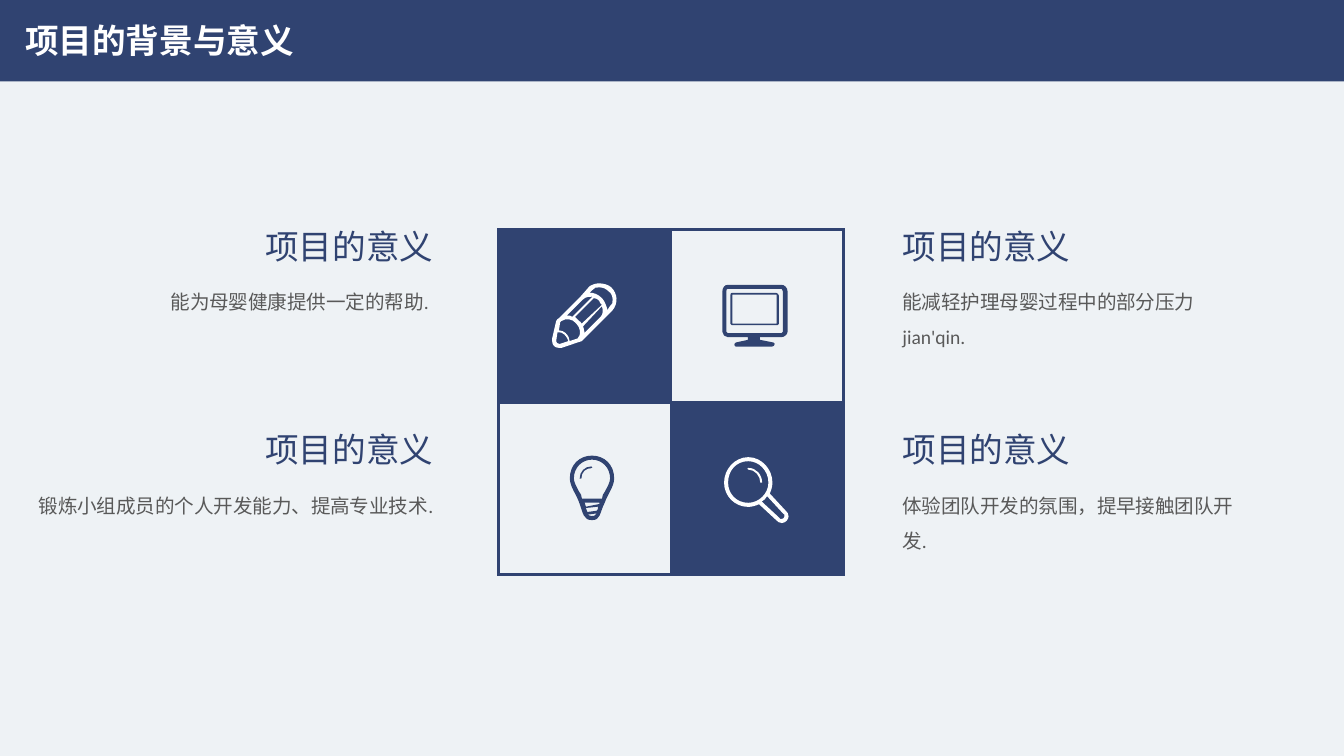
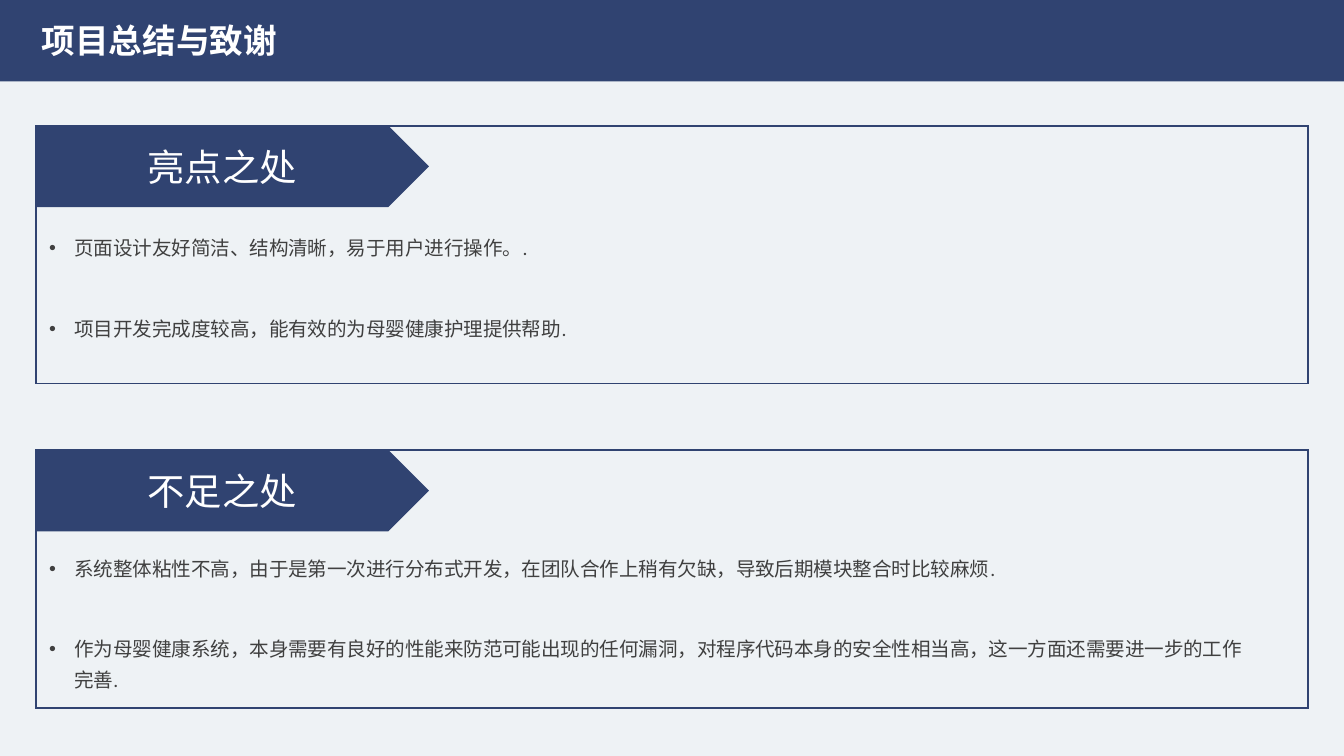
from dataclasses import dataclass
from typing import Optional

from lxml.etree import Element, SubElement
from pptx import Presentation
from pptx.dml.color import RGBColor
from pptx.enum.shapes import MSO_SHAPE as Preset
from pptx.enum.text import MSO_ANCHOR as Anchor, MSO_AUTO_SIZE as AutoSize, PP_ALIGN as Align
from pptx.oxml.ns import qn
from pptx.shapes.autoshape import Shape
from pptx.slide import Slide
from pptx.text.text import TextFrame
from pptx.util import Pt

NAVY = RGBColor(0x30, 0x43, 0x71)
PALE = RGBColor(0xEE, 0xF2, 0xF5)
WHITE = RGBColor(0xFF, 0xFF, 0xFF)
GREY = RGBColor(0x59, 0x59, 0x59)
CHARCOAL = RGBColor(0x40, 0x40, 0x40)

CJK_FONT = "Noto Sans CJK SC"
LATIN_FONT = "Calibri"
SLIDE_WIDTH, SLIDE_HEIGHT = 720, 405
BAND_HEIGHT = 43.6

ICON_UNIT = 0.72
BULLET_INDENT = 13.6


@dataclass(frozen=True)
class Box:
    left: float
    top: float
    width: float
    height: float

    def lengths(self) -> tuple[Pt, Pt, Pt, Pt]:
        return Pt(self.left), Pt(self.top), Pt(self.width), Pt(self.height)


@dataclass(frozen=True)
class TextStyle:
    size: float
    color: RGBColor
    font: str = CJK_FONT
    bold: bool = False
    line_spacing: Optional[float] = None
    space_before: float = 0
    bullet: bool = False


TITLE = TextStyle(18, WHITE, bold=True)
HEADING = TextStyle(18, NAVY)
BODY = TextStyle(10.5, GREY, LATIN_FONT, line_spacing=1.5)
PLATE = TextStyle(20, WHITE)
POINT = TextStyle(10.5, CHARCOAL, LATIN_FONT, line_spacing=1.3, space_before=6, bullet=True)


@dataclass(frozen=True)
class Icon:
    """Outlines use M, L and C commands on a grid of ICON_UNIT; every contour closes."""
    left: float
    top: float
    outlines: tuple[str, ...]


@dataclass(frozen=True)
class Quadrant:
    column: int
    row: int
    body: str
    icon: Icon

    @property
    def filled(self) -> bool:
        return self.column == self.row


@dataclass(frozen=True)
class Panel:
    top: float
    title: str
    first_point: float
    points: tuple[str, ...]


PENCIL = Icon(295.8, 151.8, (
    "M 43 17 L 41 20 C 41 20 41 19 41 19 C 40 16 39 13 37 11 C 34 8 31 7 28 7 "
    "L 30 5 C 31 3 33 3 35 3 C 38 3 40 4 42 6 C 44 7 45 10 45 12 C 45 14 45 16 43 17 "
    "M 13 43 C 13 41 12 39 10 37 C 9 36 7 35 5 35 L 6 29 C 6 29 7 28 7 28 "
    "C 10 26 15 26 18 30 C 21 33 22 38 19 41 "
    "M 6 45 C 6 45 5 45 5 45 C 4 45 3 44 3 43 L 4 36.4 C 6 36 8 37 9 38 C 11 40 12 42 12 43 "
    "M 15 25 C 14 24 13 24 11 24 L 23 12 C 25 10 27 10 30 10 "
    "M 22 30 C 21 29 21 28 20 28 C 19 27 18 26 17 25 L 31 11 C 33 11 34 12 35 13 "
    "C 35 14 36 15 37 16 "
    "M 24 36 C 24 34 23 33 23 32 L 37 17 C 38 20 38 23 36 25 L 24 37 "
    "M 44 3 C 42 1 38 0 35 0 C 32 0 30 1 28 2 L 21 10 L 5 26 C 4 26 4 27 3 28 L 0 41 "
    "C 0 41 0 42 0 43 C 0 46 2 48 5 48 C 5 48 7 48 7 48 L 19 44 C 20 44 21 44 22 43 "
    "L 45 20 C 49 15 49 8 44 3",
))
MONITOR = Icon(387, 152.6, (
    "M 40.4 28.8 L 7.4 28.8 L 7.4 7.4 L 40.4 7.4 "
    "M 40 6 L 7 6 C 6 6 6 7 6 8 L 6 29 C 6 30 6 30 7 30 L 40 30 "
    "C 41 30 42 30 42 29 L 42 8 C 42 7 41 6 40 6",
    "M 45 35 C 45 36 44 36 44 36 L 4 36 C 3 36 3 36 3 35 L 3 5 C 3 4 3 3 4 3 "
    "L 44 3 C 44 3 45 4 45 5 "
    "M 44 0 L 4 0 C 2 0 0 2 0 5 L 0 35 C 0 37 2 39 4 39 L 19 39 L 19 41 L 10 43 "
    "C 9 43 9 43 9 44 C 9 45 9 46 10 46 L 37 46 C 38 46 39 45 39 44 "
    "C 39 43 39 43 38 43 L 28 41 L 28 39 L 44 39 C 46 39 48.5 37 48.5 35 "
    "L 48.5 5 C 48.5 2 46 0 44 0",
))
BULB = Icon(305.3, 244.1, (
    "M 24 32 L 9 32 C 9 30 8 28 7 27 C 5 23 3 20 3 17 C 3 9 9 3 16.5 3 "
    "C 24 3 30 9 30 17 C 30 20 28 23 26 27 C 25 28 24 30 24 32 "
    "M 16 45 C 15 45 14 45 13 44 L 20 43 C 19 45 18 45 16 45 "
    "M 12 38 C 11 37 11 36 11 35 L 22 35 C 22 35 22 36 22 36 "
    "M 20 41 L 13 42 C 13 41 12 40 12 39 L 21 38 C 21 39 21 41 20 41 "
    "M 16.5 0 C 7 0 0 7 0 17 C 0 23 5 29 7 35 C 10 43 10 48 16.5 48 "
    "C 23 48 22 43 26 35 C 28 29 33 23 33 17 C 33 7 26 0 16.5 0",
    "M 16 8 C 11 8 7.3 12 7.3 17 L 8.6 17 C 8.6 12 12 9.3 16 9.3 C 17 9.3 17 8 16 8",
))
MAGNIFIER = Icon(387.9, 244.9, (
    "M 18 34 C 26 34 33 27 33 19 C 33 10 26 3 18 3 C 9 3 3 10 3 19 C 3 27 9 34 18 34 "
    "M 41 45 C 41 46 42 46 43 46 C 44 46 45 45 45 44 C 45 43 45 42 44 42 L 32 29 "
    "C 31 31 30 32 28 33 "
    "M 18 0 C 28 0 36 9 36 19 C 36 22 35 25 34 27 L 46 40 C 47 41 48 42 48 44 "
    "C 48 46 46 49 43 49 C 41 49 40 48 39 47 L 26 35 C 24 36 21 37 18 37 "
    "C 8 37 0 29 0 19 C 0 9 8 0 18 0",
    "M 18 8 C 24 8 28.3 13 28.3 19 L 27 19 C 27 14 23 9.3 18 9.3 C 17 9.3 17 8 18 8",
))

QUADRANTS = (
    Quadrant(0, 0, "能为母婴健康提供一定的帮助. ", PENCIL),
    Quadrant(0, 1, "锻炼小组成员的个人开发能力、提高专业技术. ", BULB),
    Quadrant(1, 0, "能减轻护理母婴过程中的部分压力jian'qin.", MONITOR),
    Quadrant(1, 1, "体验团队开发的氛围，提早接触团队开发.", MAGNIFIER),
)
TILE_LEFT, TILE_TOP, TILE_SIZE = 267.1, 123.1, 92.4
HEADING_TOP, HEADING_STEP = 117.5, 108.6
BODY_TOP, BODY_STEP = 145.5, 109.4
LEFT_EDGE, RIGHT_EDGE = 239.2, 476.4
HEADING_WIDTH, HEADING_HEIGHT = 106.6, 28.8
BODY_WIDTHS, BODY_HEIGHTS = (226.1, 196.6), (25.9, 45.4)

PANELS = (
    Panel(67.3, "亮点之处", 52, (
        "页面设计友好简洁、结构清晰，易于用户进行操作。.",
        "项目开发完成度较高，能有效的为母婴健康护理提供帮助.",
    )),
    Panel(241, "不足之处", 50, (
        "系统整体粘性不高，由于是第一次进行分布式开发，在团队合作上稍有欠缺，导致后期模块整合时比较麻烦.",
        "作为母婴健康系统，本身需要有良好的性能来防范可能出现的任何漏洞，对程序代码本身的安全性相当高，"
        "这一方面还需要进一步的工作完善.",
    )),
)
PANEL_LEFT, PANEL_WIDTH, PANEL_HEIGHT = 19.2, 681.6, 138.2
PLATE_WIDTH, PLATE_HEIGHT = 210.6, 43.7
POINT_WIDTH, POINT_HEIGHT, POINT_STEP = 663.1, 23.8, 43


def write_text(frame: TextFrame, text: str, style: TextStyle, align: Align) -> None:
    paragraph = frame.paragraphs[0]
    paragraph.alignment = align
    if style.space_before:
        paragraph.space_before = Pt(style.space_before)
    if style.line_spacing:
        paragraph.line_spacing = style.line_spacing
    if style.bullet:
        properties = paragraph._p.get_or_add_pPr()
        properties.set("marL", str(Pt(BULLET_INDENT)))
        properties.set("indent", str(-Pt(BULLET_INDENT)))
        SubElement(properties, qn("a:buFont")).set("typeface", "Arial")
        SubElement(properties, qn("a:buChar")).set("char", "•")
    run = paragraph.add_run()
    run.text = text
    font_values = {"name": style.font, "size": Pt(style.size), "bold": style.bold}
    for name, value in font_values.items():
        setattr(run.font, name, value)
    run.font.color.rgb = style.color
    SubElement(run._r.get_or_add_rPr(), qn("a:ea")).set("typeface", CJK_FONT)


def add_text(slide: Slide, box: Box, text: str, style: TextStyle,
             align: Align = Align.LEFT, wrap: bool = True) -> None:
    frame = slide.shapes.add_textbox(*box.lengths()).text_frame
    frame.word_wrap = wrap
    frame.auto_size = AutoSize.SHAPE_TO_FIT_TEXT
    write_text(frame, text, style, align)


def paint(shape: Shape, fill: Optional[RGBColor], line_width: float = 0) -> None:
    """Fill the shape, or leave it open; a line width of zero means no outline."""
    shape.shadow.inherit = False
    if fill is None:
        shape.fill.background()
    else:
        shape.fill.solid()
        shape.fill.fore_color.rgb = fill
    if line_width:
        shape.line.color.rgb = NAVY
        shape.line.width = Pt(line_width)
        SubElement(shape.line._get_or_add_ln(), qn("a:miter")).set("lim", "800000")
    else:
        shape.line.fill.background()


def add_block(slide: Slide, box: Box, fill: Optional[RGBColor],
              line_width: float = 0, preset: Preset = Preset.RECTANGLE) -> Shape:
    shape = slide.shapes.add_shape(preset, *box.lengths())
    paint(shape, fill, line_width)
    return shape


def bend(shape: Shape, commands: list[str]) -> None:
    """Join each three line segments that belong to a C command into one curve."""
    lines = iter(list(shape._element.iter(qn("a:lnTo"))))
    for command in commands:
        line = next(lines)
        if command == "C":
            curve = Element(qn("a:cubicBezTo"))
            line.addprevious(curve)
            for segment in (line, next(lines), next(lines)):
                curve.append(segment[0])
                segment.getparent().remove(segment)


def add_icon(slide: Slide, icon: Icon, color: RGBColor) -> None:
    shapes = slide.shapes
    if len(icon.outlines) > 1:
        shapes = shapes.add_group_shape().shapes
    for outline in icon.outlines:
        builder = None
        for contour in outline.split("M")[1:]:
            numbers = [float(word) for word in contour.split() if word not in "LC"]
            start, *rest = [(Pt(icon.left + x * ICON_UNIT), Pt(icon.top + y * ICON_UNIT))
                            for x, y in zip(numbers[::2], numbers[1::2])]
            if builder is None:
                builder = shapes.build_freeform(*start)
            else:
                builder.move_to(*start)
            builder.add_line_segments(rest, close=True)
        shape = builder.convert_to_shape()
        bend(shape, [letter for letter in outline if letter in "LC"])
        paint(shape, color)


def add_titled_slide(presentation: Presentation, title: str, box: Box) -> Slide:
    slide = presentation.slides.add_slide(presentation.slide_layouts[6])
    add_text(slide, box, title, TITLE, Align.CENTER, wrap=False)
    return slide


def add_quadrant_text(slide: Slide, quadrant: Quadrant) -> None:
    on_left = quadrant.column == 0
    for text, style, top, width, height in (
        ("项目的意义", HEADING, HEADING_TOP + quadrant.row * HEADING_STEP,
         HEADING_WIDTH, HEADING_HEIGHT),
        (quadrant.body, BODY, BODY_TOP + quadrant.row * BODY_STEP,
         BODY_WIDTHS[quadrant.column], BODY_HEIGHTS[quadrant.column]),
    ):
        left = LEFT_EDGE - width if on_left else RIGHT_EDGE
        add_text(slide, Box(left, top, width, height), text, style,
                 Align.RIGHT if on_left else Align.LEFT)


def build_meaning_slide(presentation: Presentation) -> Slide:
    slide = add_titled_slide(presentation, "项目的背景与意义", Box(6.3, 7.2, 158.4, 28.8))
    for quadrant in QUADRANTS:
        add_quadrant_text(slide, quadrant)
    for quadrant in sorted(QUADRANTS, key=lambda item: not item.filled):
        tile = Box(TILE_LEFT + quadrant.column * TILE_SIZE,
                   TILE_TOP + quadrant.row * TILE_SIZE, TILE_SIZE, TILE_SIZE)
        add_block(slide, tile, NAVY if quadrant.filled else None, 1.5)
    for quadrant in QUADRANTS:
        add_icon(slide, quadrant.icon, WHITE if quadrant.filled else NAVY)
    return slide


def build_summary_slide(presentation: Presentation) -> None:
    slide = add_titled_slide(presentation, "项目总结与致谢", Box(15.1, 7.2, 140.4, 28.8))
    for panel in PANELS:
        add_block(slide, Box(PANEL_LEFT, panel.top, PANEL_WIDTH, PANEL_HEIGHT), None, 1)
    for panel in PANELS:
        plate = add_block(slide, Box(PANEL_LEFT, panel.top, PLATE_WIDTH, PLATE_HEIGHT), NAVY,
                          preset=Preset.PENTAGON)
        plate.text_frame.vertical_anchor = Anchor.MIDDLE
        write_text(plate.text_frame, panel.title, PLATE, Align.CENTER)
    for panel in PANELS:
        for index, text in enumerate(panel.points):
            top = panel.top + panel.first_point + index * POINT_STEP
            add_text(slide, Box(PANEL_LEFT, top, POINT_WIDTH, POINT_HEIGHT), text, POINT)


def style_master(presentation: Presentation, slide: Slide) -> None:
    """Colour the master and move a band, drawn on the slide, behind every slide."""
    master = presentation.slide_master
    master.background.fill.solid()
    master.background.fill.fore_color.rgb = PALE
    band = add_block(slide, Box(0, 0, SLIDE_WIDTH, BAND_HEIGHT), NAVY)
    master.shapes._spTree.append(band._element)


def main() -> None:
    presentation = Presentation()
    presentation.slide_width, presentation.slide_height = Pt(SLIDE_WIDTH), Pt(SLIDE_HEIGHT)
    style_master(presentation, build_meaning_slide(presentation))
    build_summary_slide(presentation)
    presentation.save("out.pptx")


if __name__ == "__main__":
    main()
